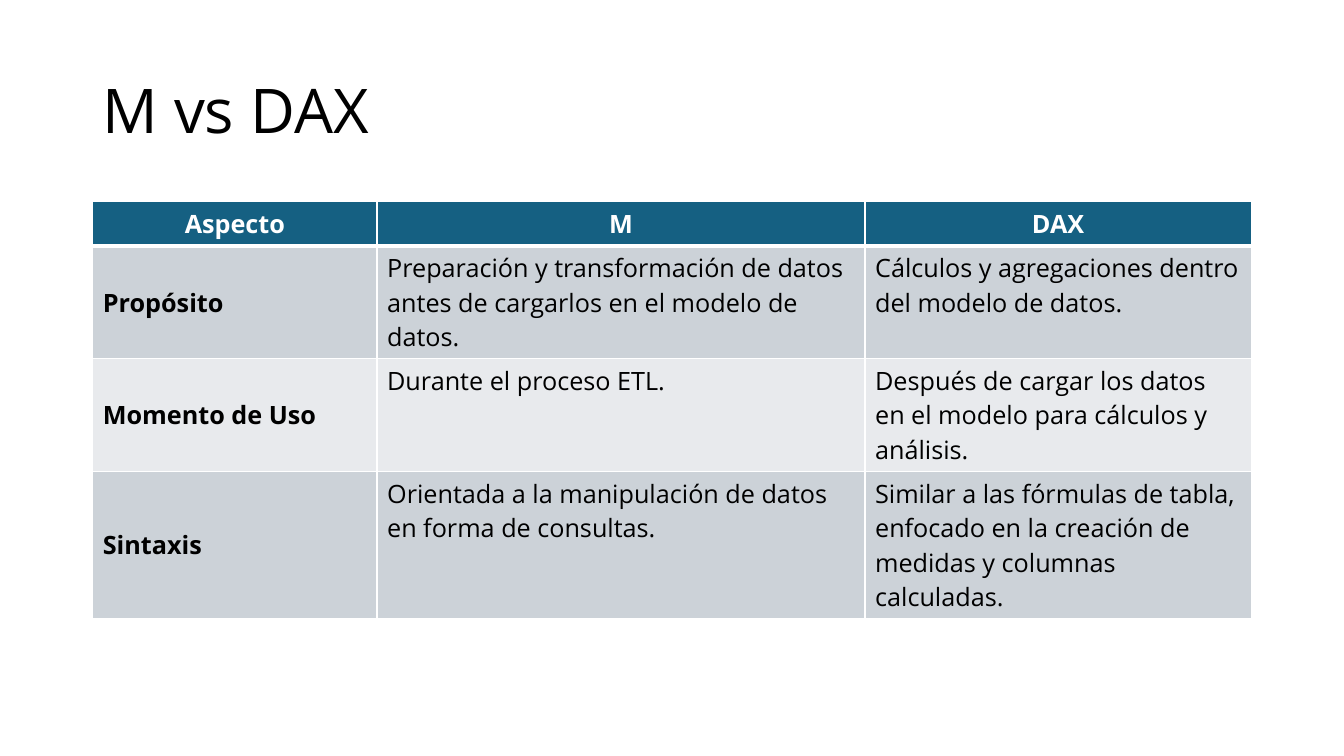
from lxml.etree import SubElement
from pptx import Presentation
from pptx.dml.color import RGBColor
from pptx.enum.text import MSO_ANCHOR, PP_ALIGN
from pptx.oxml.ns import qn
from pptx.util import Pt

EMU_PER_PX = 9144
FONT = "Open Sans"
COLORS = {
    "black": "000000",
    "white": "FFFFFF",
    "header": "156082",
    "dark_band": "CCD2D8",
    "light_band": "E8EAED",
}
COLUMN_WIDTHS = [282, 484, 383]
ROW_HEIGHTS = [44, 112, 112, 146]
ROWS = [
    ["Aspecto", "M", "DAX"],
    [
        "Propósito",
        "Preparación y transformación de datos antes de cargarlos en el modelo de datos.",
        "Cálculos y agregaciones dentro del modelo de datos.",
    ],
    [
        "Momento de Uso",
        "Durante el proceso ETL.",
        "Después de cargar los datos en el modelo para cálculos y análisis.",
    ],
    [
        "Sintaxis",
        "Orientada a la manipulación de datos en forma de consultas.",
        "Similar a las fórmulas de tabla, enfocado en la creación de medidas y columnas calculadas.",
    ],
]


def px(length):
    return length * EMU_PER_PX


def color(name):
    return RGBColor.from_string(COLORS[name])


def write_text(frame, text, *, size=18, fill="black", bold=False,
               align=PP_ALIGN.LEFT, spacing=None):
    frame.word_wrap = True
    para = frame.paragraphs[0]
    para.alignment = align
    para.line_spacing = spacing
    span = para.add_run()
    span.text = text
    span.font.name = FONT
    span.font.size = Pt(size)
    span.font.bold = bold
    span.font.color.rgb = color(fill)


def add_title(page, text):
    box = page.shapes.add_textbox(px(92), px(40), px(1150), px(145))
    box.text_frame.vertical_anchor = MSO_ANCHOR.MIDDLE
    write_text(box.text_frame, text, size=44, spacing=0.9)


def set_borders(cell, widths):
    properties = cell._tc.get_or_add_tcPr()
    for side, width in zip("LRTB", widths):
        line = SubElement(properties, qn(f"a:ln{side}"), w=str(Pt(width)))
        solid = SubElement(line, qn("a:solidFill"))
        SubElement(solid, qn("a:srgbClr"), val=COLORS["white"])


def format_cell(cell, text, row, column):
    header = row == 0
    label = column == 0
    top = 3 if row == 1 else 1
    bottom = 3 if header else 1
    set_borders(cell, [1, 1, top, bottom])
    band = "header" if header else "dark_band" if row % 2 else "light_band"
    cell.fill.solid()
    cell.fill.fore_color.rgb = color(band)
    middle = label and not header
    cell.vertical_anchor = MSO_ANCHOR.MIDDLE if middle else MSO_ANCHOR.TOP
    write_text(
        cell.text_frame,
        text,
        fill="white" if header else "black",
        bold=header or label,
        align=PP_ALIGN.CENTER if header else PP_ALIGN.LEFT,
    )


def add_comparison(page, rows):
    table = page.shapes.add_table(
        len(rows), len(COLUMN_WIDTHS), px(92), px(200),
        px(sum(COLUMN_WIDTHS)), px(sum(ROW_HEIGHTS)),
    ).table
    for column, width in zip(table.columns, COLUMN_WIDTHS):
        column.width = px(width)
    for row, (texts, height) in enumerate(zip(rows, ROW_HEIGHTS)):
        table.rows[row].height = px(height)
        for column, text in enumerate(texts):
            format_cell(table.cell(row, column), text, row, column)


def main():
    deck = Presentation()
    deck.slide_width = px(1333)
    deck.slide_height = px(750)
    page = deck.slides.add_slide(deck.slide_layouts[6])
    page.background.fill.solid()
    page.background.fill.fore_color.rgb = color("white")
    add_title(page, "M vs DAX")
    add_comparison(page, ROWS)
    deck.save("out.pptx")


if __name__ == "__main__":
    main()
